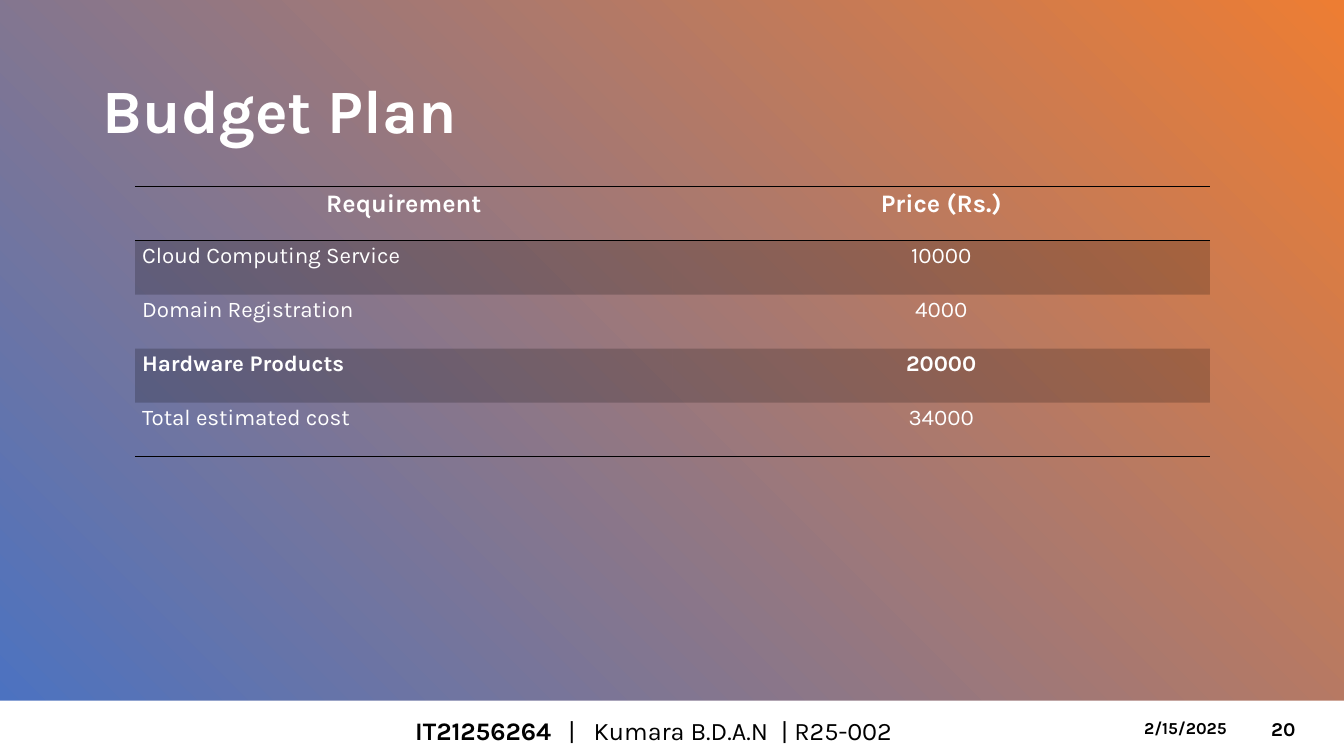
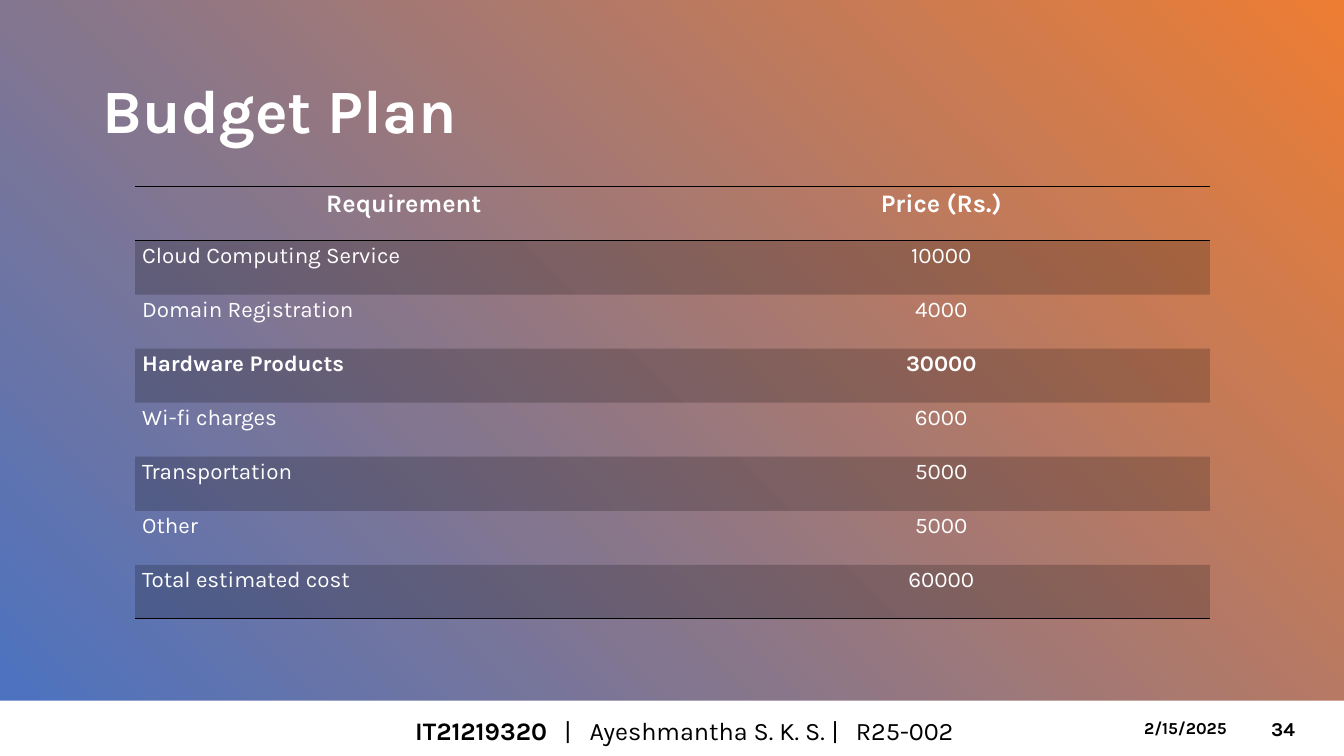
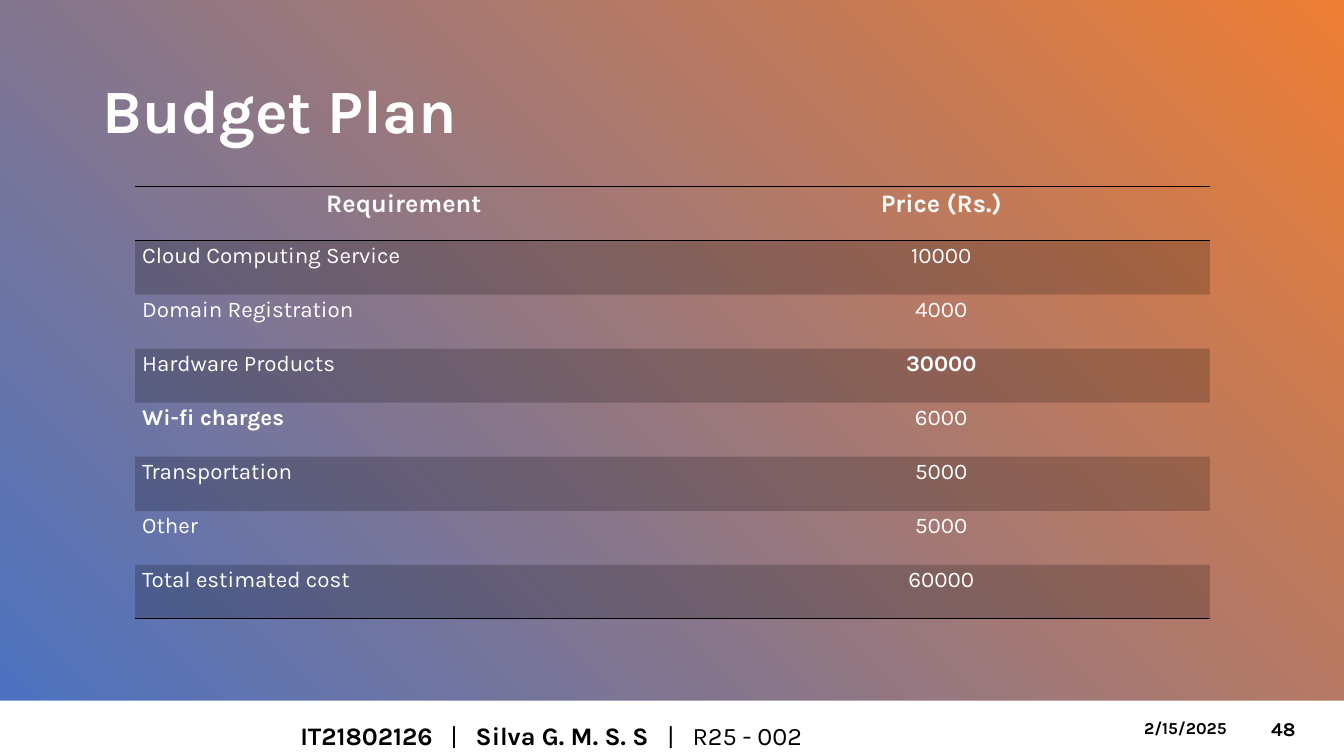
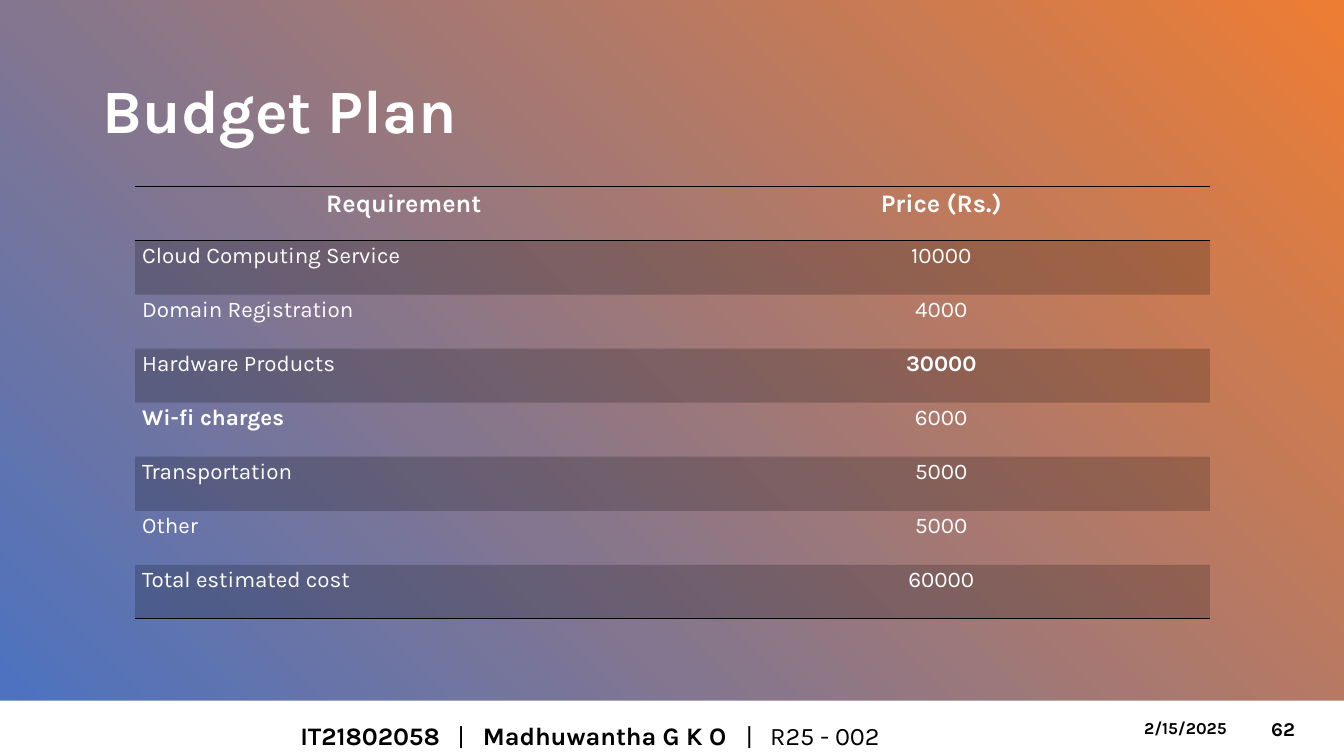
from dataclasses import dataclass

from lxml import etree
from pptx import Presentation
from pptx.dml.color import RGBColor
from pptx.enum.shapes import MSO_SHAPE
from pptx.enum.text import MSO_ANCHOR, PP_ALIGN
from pptx.oxml.ns import qn
from pptx.util import Inches, Pt

RECTANGLE = MSO_SHAPE.RECTANGLE
MIDDLE = MSO_ANCHOR.MIDDLE
LEFT, CENTER, JUSTIFY = PP_ALIGN.LEFT, PP_ALIGN.CENTER, PP_ALIGN.JUSTIFY
TITLE_ONLY = 5
PLAIN_TABLE_STYLE = "{2D5ABB26-0587-4C30-8999-92F81FD0307C}"


@dataclass(frozen=True)
class Theme:
    font: str = "Karla"
    blue: RGBColor = RGBColor(0x48, 0x72, 0xC4)
    orange: RGBColor = RGBColor(0xED, 0x7D, 0x33)
    white: RGBColor = RGBColor(0xFF, 0xFF, 0xFF)
    black: RGBColor = RGBColor(0, 0, 0)
    band_opacity: int = 20
    title_size: Pt = Pt(44)
    heading_size: Pt = Pt(18)
    cell_size: Pt = Pt(16)
    footer_size: Pt = Pt(18)
    number_size: Pt = Pt(14)
    date_size: Pt = Pt(12)


THEME = Theme()

TITLE = "Budget Plan"
DATE = "2/15/2025"
HEADINGS = ("Requirement", "Price (Rs.)")
TITLE_BOX = (0.92, 0.4, 11.5, 1.45)
FOOTER_BAND = (-0.02, 6.95, 13.35, 0.55)
NUMBER_BOX = (12.51, 7.03, 0.74, 0.4)
DATE_BOX = (11.25, 7.07, 1.17, 0.3)
CENTRAL_AUTHOR_BOX = (4.02, 7.05, 6, 0.4)
WIDE_AUTHOR_BOX = (2.88, 7.1, 7.45, 0.4)
TABLE_LEFT, TABLE_TOP, TABLE_WIDTH = 1.34, 1.85, 10.66
ROW_HEIGHT = 4.29 / 8

SHORT_BUDGET = (
    ("Cloud Computing Service", "10000"),
    ("Domain Registration", "4000"),
    ("Hardware Products", "20000"),
    ("Total estimated cost", "34000"),
)
FULL_BUDGET = (
    ("Cloud Computing Service", "10000"),
    ("Domain Registration", "4000"),
    ("Hardware Products", "30000"),
    ("Wi-fi charges", "6000"),
    ("Transportation", "5000"),
    ("Other", "5000"),
    ("Total estimated cost", "60000"),
)


@dataclass(frozen=True)
class BudgetSlide:
    number: str
    budget: tuple
    bold_cells: tuple
    author_box: tuple
    student_id: str
    author: str
    group: str
    tab_stops: tuple
    bold_author: bool = False


BUDGET_SLIDES = (
    BudgetSlide("20", SHORT_BUDGET, ("Hardware Products", "20000"),
                CENTRAL_AUTHOR_BOX, "IT21256264", "Kumara B.D.A.N", "R25-002",
                (1.52, 1.77, 3.63, 3.76)),
    BudgetSlide("34", FULL_BUDGET, ("Hardware Products", "30000"),
                CENTRAL_AUTHOR_BOX, "IT21219320", "Ayeshmantha S. K. S.", "R25-002",
                (1.48, 1.73, 4.13, 4.37)),
    BudgetSlide("48", FULL_BUDGET, ("Wi-fi charges", "30000"),
                WIDE_AUTHOR_BOX, "IT21802126", "Silva G. M. S. S", "R25 - 002",
                (1.49, 1.74, 3.64, 3.89), True),
    BudgetSlide("62", FULL_BUDGET, ("Wi-fi charges", "30000"),
                WIDE_AUTHOR_BOX, "IT21802058", "Madhuwantha G K O", "R25 - 002",
                (1.56, 1.81, 4.42, 4.66), True),
)


def inches(box):
    return [Inches(length) for length in box]


def format_font(font, size, color, bold):
    font.name = THEME.font
    font.size = size
    font.color.rgb = color
    font.bold = bold


def prepare_layout(presentation):
    """Set the shared background and title place; return the layout."""
    fill = presentation.slide_master.background.fill
    fill.gradient()
    fill.gradient_angle = 45
    for stop, color in zip(fill.gradient_stops, (THEME.blue, THEME.orange)):
        stop.color.rgb = color
    layout = presentation.slide_layouts[TITLE_ONLY]
    title = layout.placeholders[0]
    title.left, title.top, title.width, title.height = inches(TITLE_BOX)
    return layout


def add_footer_band(slide, box):
    """Draw the band and hand it to the layout, so every slide shows it."""
    band = slide.shapes.add_shape(RECTANGLE, *inches(box))
    band.shadow.inherit = False
    band.fill.solid()
    band.fill.fore_color.rgb = THEME.white
    band.line.fill.background()
    slide.slide_layout.shapes.element.insert(2, band.element)


def format_title(slide):
    title = slide.shapes.title
    title.text_frame.text = TITLE
    title.text_frame.vertical_anchor = MIDDLE
    paragraph = title.text_frame.paragraphs[0]
    paragraph.alignment = LEFT
    paragraph.line_spacing = 0.9
    format_font(paragraph.runs[0].font, THEME.title_size, THEME.white, True)


def add_text_box(slide, box):
    """Add a wrapping, middle-anchored box and return its first paragraph."""
    frame = slide.shapes.add_textbox(*inches(box)).text_frame
    frame.word_wrap = True
    frame.vertical_anchor = MIDDLE
    return frame.paragraphs[0]


def add_footer_label(slide, box, text, size):
    paragraph = add_text_box(slide, box)
    paragraph.text = text
    format_font(paragraph.runs[0].font, size, THEME.black, True)


def add_author_line(slide, content):
    paragraph = add_text_box(slide, content.author_box)
    properties = paragraph._p.get_or_add_pPr()
    tab_list = etree.SubElement(properties, qn("a:tabLst"))
    for position in content.tab_stops:
        etree.SubElement(tab_list, qn("a:tab"), pos=str(Inches(position)), algn="l")
    parts = (
        (content.student_id, True),
        ("\t|\t", False),
        (content.author, content.bold_author),
        ("\t|\t" + content.group, False),
    )
    for text, bold in parts:
        run = paragraph.add_run()
        run.text = text
        format_font(run.font, THEME.footer_size, THEME.black, bold)


def set_border(cell, index, side):
    """Draw a one-point line on a side; index keeps lines ahead of the fill."""
    line = etree.Element(qn("a:ln" + side), w=str(Pt(1)))
    solid = etree.SubElement(line, qn("a:solidFill"))
    etree.SubElement(solid, qn("a:srgbClr"), val=str(THEME.black))
    cell._tc.get_or_add_tcPr().insert(index, line)


def shade_cell(cell):
    cell.fill.solid()
    cell.fill.fore_color.rgb = THEME.black
    color = cell._tc.tcPr.find(".//" + qn("a:srgbClr"))
    etree.SubElement(color, qn("a:alpha"), val=str(THEME.band_opacity * 1000))


def fill_cell(cell, text, alignment, size, bold):
    cell.margin_left = cell.margin_right = Inches(0.07)
    cell.margin_top = cell.margin_bottom = 0
    cell.text_frame.text = text
    paragraph = cell.text_frame.paragraphs[0]
    paragraph.alignment = alignment
    paragraph.line_spacing = 1.1
    paragraph.space_after = Pt(6)
    format_font(paragraph.runs[0].font, size, THEME.white, bold)


def add_budget_table(slide, left, top, width, content):
    rows = (HEADINGS,) + content.budget
    box = (left, top, width, ROW_HEIGHT * len(rows))
    table = slide.shapes.add_table(len(rows), len(HEADINGS), *inches(box)).table
    table.first_row = table.horz_banding = False
    table._tbl.tblPr.find(qn("a:tableStyleId")).text = PLAIN_TABLE_STYLE
    for row_index, row in enumerate(rows):
        is_heading = row_index == 0
        for column_index, text in enumerate(row):
            cell = table.cell(row_index, column_index)
            centered = is_heading or column_index > 0
            fill_cell(cell, text, CENTER if centered else JUSTIFY,
                      THEME.heading_size if is_heading else THEME.cell_size,
                      is_heading or text in content.bold_cells)
            if row_index % 2:
                shade_cell(cell)
            else:
                cell.fill.background()
            if is_heading:
                set_border(cell, 0, "T")
                set_border(cell, 1, "B")
            elif row_index == len(rows) - 1:
                set_border(cell, 0, "B")


def add_budget_slide(presentation, layout, content):
    slide = presentation.slides.add_slide(layout)
    format_title(slide)
    add_budget_table(slide, TABLE_LEFT, TABLE_TOP, TABLE_WIDTH, content)
    add_author_line(slide, content)
    add_footer_label(slide, DATE_BOX, DATE, THEME.date_size)
    add_footer_label(slide, NUMBER_BOX, content.number, THEME.number_size)
    return slide


def main():
    presentation = Presentation()
    presentation.slide_width = Inches(13.33)
    presentation.slide_height = Inches(7.5)
    layout = prepare_layout(presentation)
    slides = [add_budget_slide(presentation, layout, content)
              for content in BUDGET_SLIDES]
    add_footer_band(slides[0], FOOTER_BAND)
    presentation.save("out.pptx")


if __name__ == "__main__":
    main()
